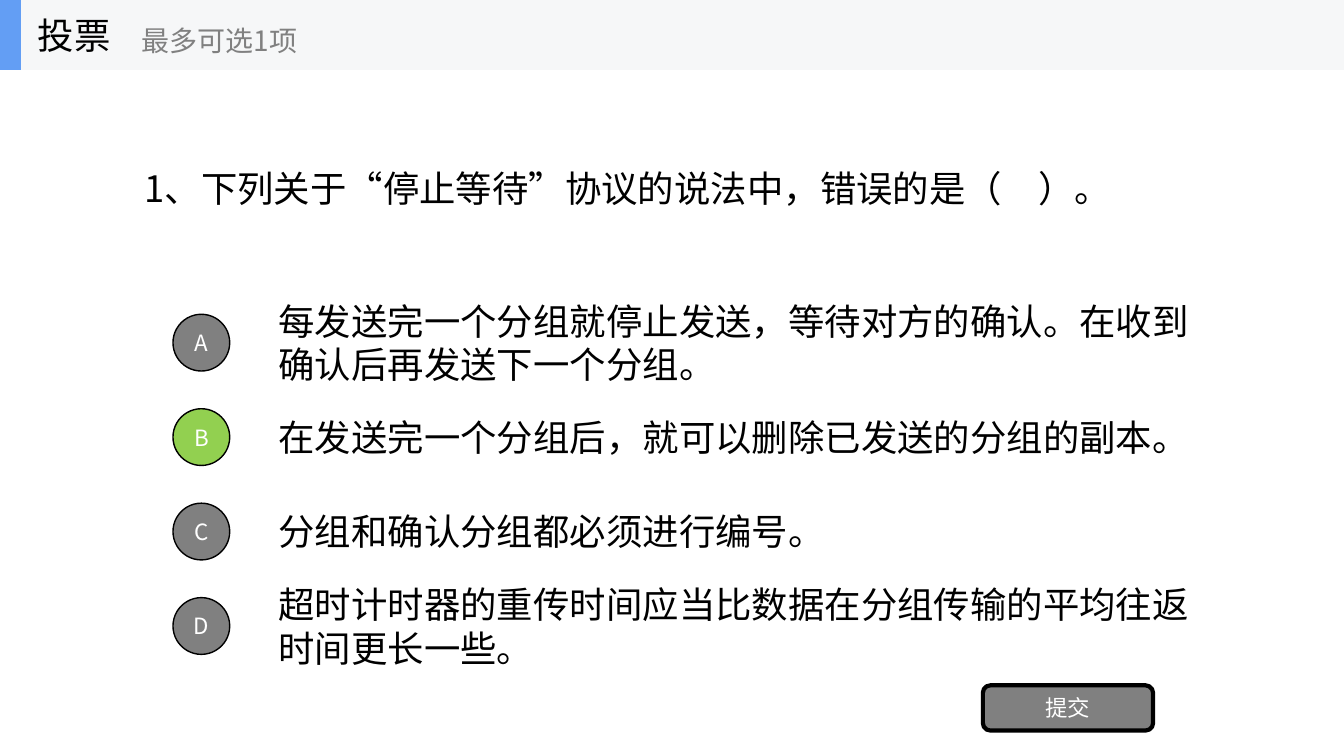
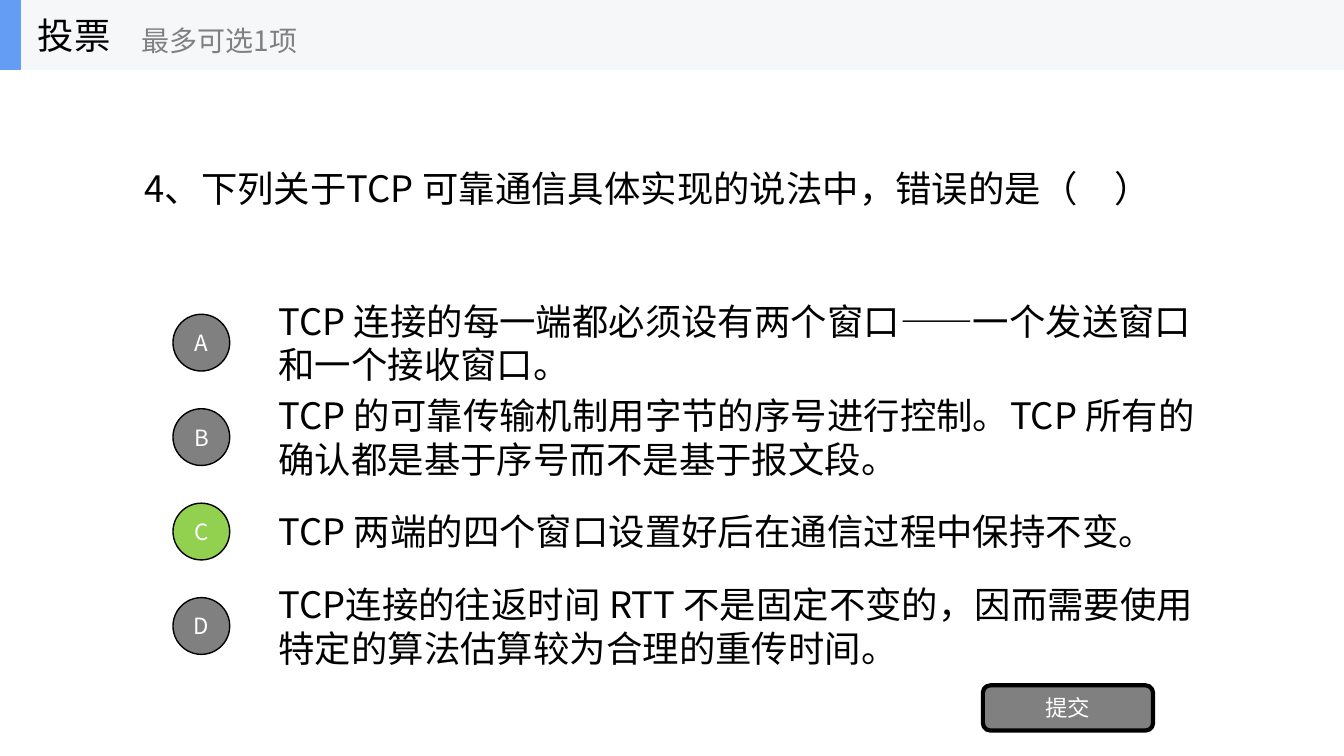
from dataclasses import dataclass

from pptx import Presentation
from pptx.dml.color import RGBColor
from pptx.enum.shapes import MSO_SHAPE as Preset
from pptx.enum.text import MSO_ANCHOR as Anchor, PP_ALIGN as Align
from pptx.oxml.ns import qn
from pptx.util import Cm, Pt
from lxml.etree import SubElement


@dataclass(frozen=True)
class Theme:
    font: str = "Noto Sans CJK SC"
    ink: str = "000000"
    muted: str = "808080"
    light: str = "FFFFFF"
    band: str = "F6F7F8"
    accent: str = "639EF4"
    chosen: str = "92D050"
    body_size: int = 26
    hint_size: int = 20
    label_size: int = 16
    option_leading: int = 31


POLLS = [
    {
        "question": "1、下列关于“停止等待”协议的说法中，错误的是（　）。",
        "options": [
            "每发送完一个分组就停止发送，等待对方的确认。在收到确认后再发送下一个分组。",
            "在发送完一个分组后，就可以删除已发送的分组的副本。",
            "分组和确认分组都必须进行编号。",
            "超时计时器的重传时间应当比数据在分组传输的平均往返时间更长一些。",
        ],
        "answer": "B",
    },
    {
        "question": "4、下列关于TCP 可靠通信具体实现的说法中，错误的是（　）",
        "options": [
            "TCP 连接的每一端都必须设有两个窗口——一个发送窗口和一个接收窗口。",
            "TCP 的可靠传输机制用字节的序号进行控制。TCP 所有的确认都是基于序号而不是基于报文段。",
            "TCP 两端的四个窗口设置好后在通信过程中保持不变。",
            "TCP连接的往返时间 RTT 不是固定不变的，因而需要使用特定的算法估算较为合理的重传时间。",
        ],
        "answer": "C",
    },
]


def apply_format(target, values):
    for name, value in values.items():
        setattr(target, name, value)


class PollDeck:
    WIDTH, HEIGHT = 33.87, 19.05
    BAND_HEIGHT = 1.76
    FIRST_ROW, ROW_STEP, ROW_HEIGHT = 7.74, 2.38, 1.79
    BADGE_SIZE = 1.43

    def __init__(self, theme):
        self.theme = theme
        self.presentation = Presentation()
        apply_format(self.presentation, {
            "slide_width": Cm(self.WIDTH),
            "slide_height": Cm(self.HEIGHT),
        })
        self.slide = None

    def new_slide(self):
        blank = self.presentation.slide_layouts[6]
        self.slide = self.presentation.slides.add_slide(blank)

    def fill_text(self, shape, text, size, color, align=Align.LEFT, leading=None):
        apply_format(shape.text_frame, {
            "word_wrap": True,
            "vertical_anchor": Anchor.MIDDLE,
        })
        paragraph = shape.text_frame.paragraphs[0]
        apply_format(paragraph, {
            "alignment": align,
            "line_spacing": Pt(leading) if leading else None,
        })
        run = paragraph.add_run()
        run.text = text
        apply_format(run.font, {"size": Pt(size), "name": self.theme.font})
        run.font.color.rgb = RGBColor.from_string(color)
        east_asian = SubElement(run.font._element, qn("a:ea"))
        east_asian.set("typeface", self.theme.font)

    def text(self, box, text, size, color, leading=None):
        shape = self.slide.shapes.add_textbox(*map(Cm, box))
        self.fill_text(shape, text, size, color, leading=leading)

    def block(self, preset, box, fill, line_width=0):
        shape = self.slide.shapes.add_shape(preset, *map(Cm, box))
        shape.shadow.inherit = False
        shape.fill.solid()
        shape.fill.fore_color.rgb = RGBColor.from_string(fill)
        if line_width:
            shape.line.color.rgb = RGBColor.from_string(self.theme.ink)
            shape.line.width = Pt(line_width)
        else:
            shape.line.fill.background()
        return shape

    def label(self, preset, box, text, fill, line_width):
        shape = self.block(preset, box, fill, line_width)
        margins = ("margin_left", "margin_top", "margin_right", "margin_bottom")
        apply_format(shape.text_frame, dict.fromkeys(margins, 0))
        self.fill_text(shape, text, self.theme.label_size, self.theme.light, Align.CENTER)

    def header(self, title, hint):
        theme = self.theme
        self.block(Preset.RECTANGLE, (0, 0, self.WIDTH, self.BAND_HEIGHT), theme.band)
        self.block(Preset.RECTANGLE, (0, 0, 0.53, self.BAND_HEIGHT), theme.accent)
        self.text((0.7, 0, 5.28, self.BAND_HEIGHT), title, theme.body_size, theme.ink)
        self.text((3.32, 0.31, 6.35, 1.43), hint, theme.hint_size, theme.muted)

    def option(self, row, letter, text, is_answer):
        theme = self.theme
        top = self.FIRST_ROW + row * self.ROW_STEP
        badge_top = top + (self.ROW_HEIGHT - self.BADGE_SIZE) / 2
        self.text((6.77, top, 23.71, self.ROW_HEIGHT), text,
                  theme.body_size, theme.ink, theme.option_leading)
        self.label(Preset.OVAL, (4.36, badge_top, self.BADGE_SIZE, self.BADGE_SIZE),
                   letter, theme.chosen if is_answer else theme.muted, 1)

    def poll(self, question, options, answer):
        theme = self.theme
        self.new_slide()
        self.header("投票", "最多可选1项")
        self.text((3.39, self.BAND_HEIGHT, 27.09, 5.95), question,
                  theme.body_size, theme.ink)
        for row, (letter, text) in enumerate(zip("ABCD", options)):
            self.option(row, letter, text, letter == answer)
        self.label(Preset.ROUNDED_RECTANGLE, (24.77, 17.27, 4.29, 1.14),
                   "提交", theme.muted, 3)


def main():
    deck = PollDeck(Theme())
    for poll in POLLS:
        deck.poll(**poll)
    deck.presentation.save("out.pptx")


if __name__ == "__main__":
    main()
